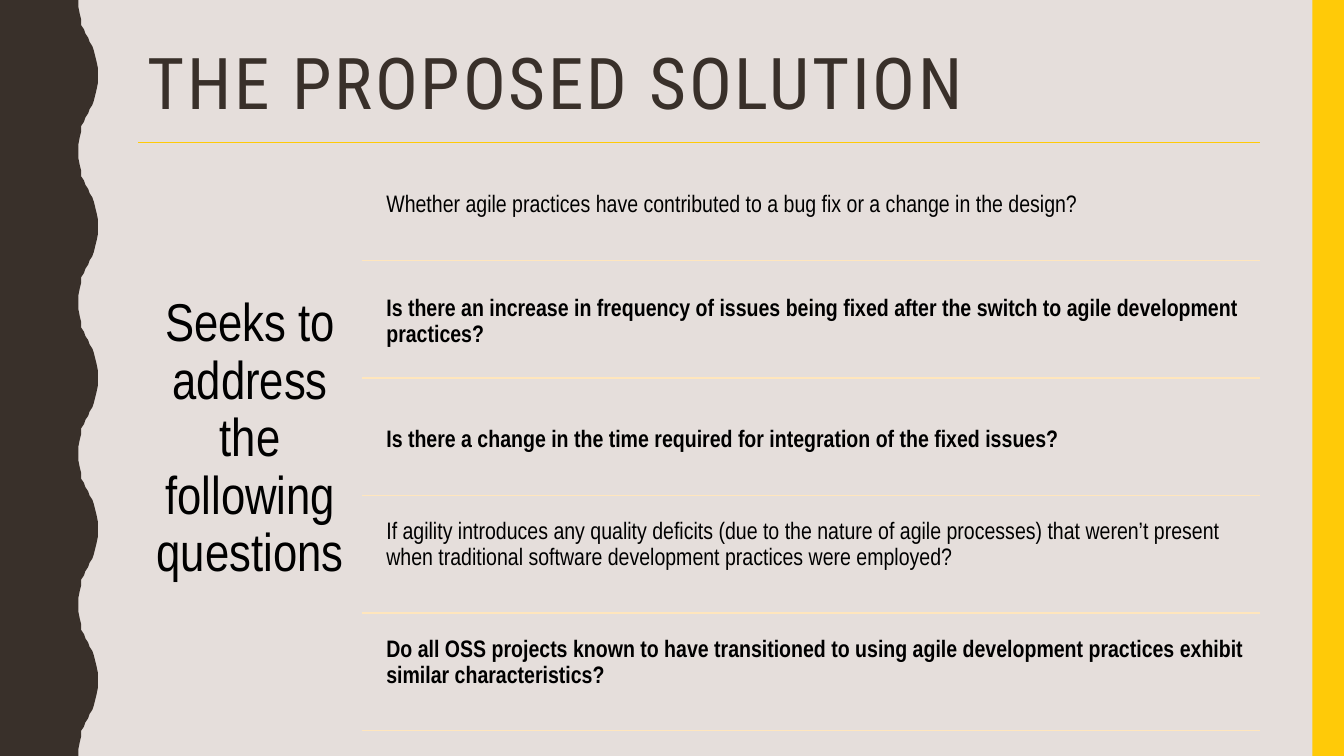
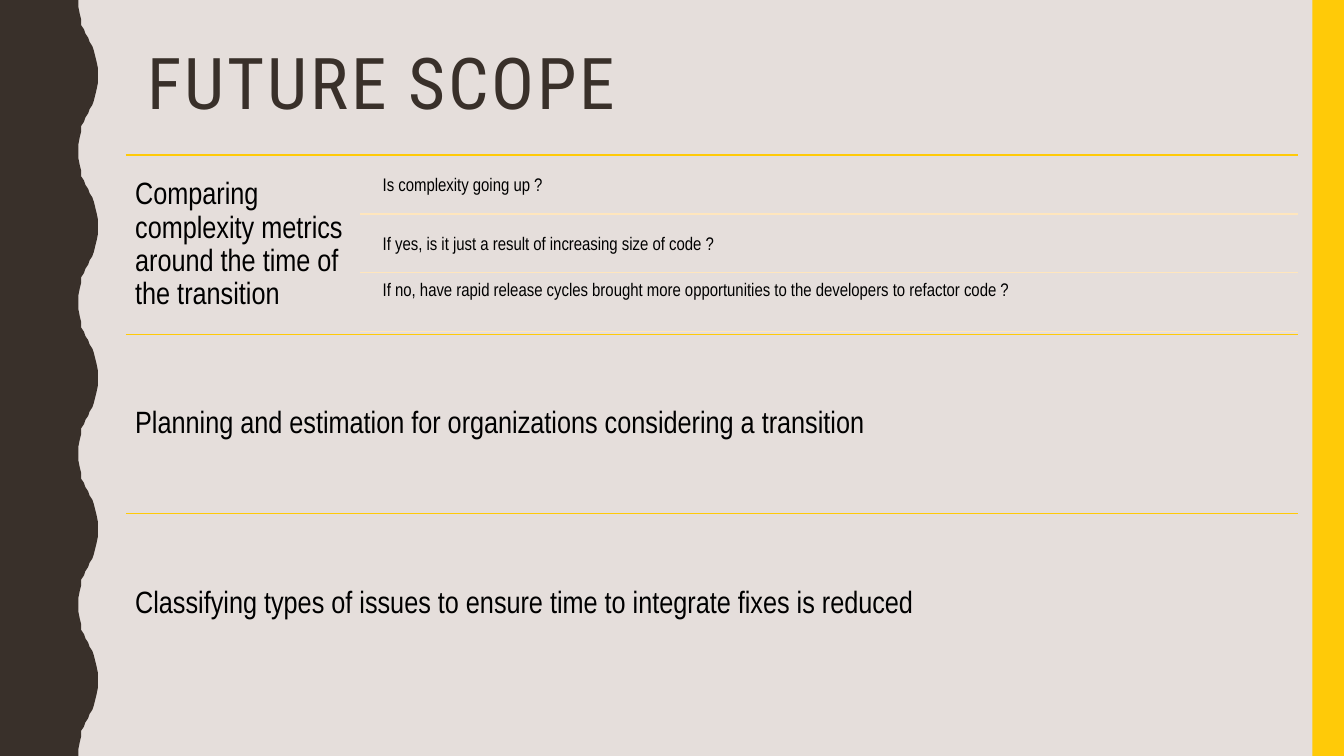
from collections import namedtuple

from lxml.etree import SubElement
from pptx import Presentation
from pptx.dml.color import RGBColor as RGB
from pptx.enum.shapes import MSO_CONNECTOR as Conn, MSO_SHAPE as Shape
from pptx.enum.text import MSO_ANCHOR as Anchor, PP_ALIGN as Align
from pptx.oxml.ns import qn
from pptx.util import Pt

Ask = namedtuple("Ask", "text bold lift", defaults=(False, 0))

DECK = [
    {
        "title": "THE PROPOSED SOLUTION",
        "left": 98.6, "right": 900, "top": 102, "height": 424,
        "lead": 38, "ask": 17, "align": Align.CENTER,
        "parts": [
            ("Seeks to address the following questions", [
                Ask("Whether agile practices have contributed to a bug fix or a change in the design?"),
                Ask("Is there an increase in frequency of issues being fixed after the switch "
                    "to agile development practices?", True),
                Ask("Is there a change in the time required for integration of the fixed issues?", True),
                Ask("If agility introduces any quality deficits (due to the nature of agile processes) "
                    "that weren’t present\nwhen traditional software development practices were employed?",
                    lift=17.5),
                Ask("Do all OSS projects known to have transitioned to using agile development "
                    "practices exhibit similar characteristics?", True, 17.5),
            ]),
        ],
    },
    {
        "title": "FUTURE SCOPE",
        "left": 90, "right": 927.4, "top": 110.8, "height": 128,
        "lead": 22, "ask": 13, "align": Align.LEFT,
        "parts": [
            ("Comparing complexity metrics around the time of the transition", [
                Ask("Is complexity going up ?"),
                Ask("If yes, is it just a result of increasing size of code ?"),
                Ask("If no, have rapid release cycles brought more opportunities to the developers "
                    "to refactor code ?", lift=18),
            ]),
            ("Planning and estimation for organizations considering a transition", []),
            ("Classifying types of issues to ensure time to integrate fixes is reduced", []),
        ],
    },
]


class Theme:
    wide, high = 960, 540
    back = RGB.from_string("E5DEDB")
    dark = RGB.from_string("39302A")
    gold = RGB.from_string("FFCA08")
    pale = RGB.from_string("FFE6BD")
    ink = RGB.from_string("000000")
    head, body = "Roboto Condensed", "Arial Narrow"
    title = 51
    indent = 12


# Half a wave of the left band in inches: (x, y), from trough to crest
HALF = [(.78, 0), (.78, .07), (.79, .14), (.8, .2), (.81, .25), (.83, .29), (.85, .33),
        (.87, .38), (.89, .42), (.91, .46), (.93, .5), (.95, .55), (.96, .61),
        (.97, .68), (.97, .75)]
PITCH, WAVES = 1.5, 5


def put_text(slide, text, left, top, width, height, *, size, font=Theme.body, color=Theme.ink,
             bold=False, align=Align.LEFT, pad=None, lift=0, track=0):
    """Add a text box; lift is extra bottom inset, track is letter spacing in points."""
    frame = slide.shapes.add_textbox(Pt(left), Pt(top), Pt(width), Pt(height)).text_frame
    frame.word_wrap = True
    frame.vertical_anchor = Anchor.MIDDLE
    pad = 0.3 * size if pad is None else pad
    frame.margin_left = frame.margin_right = frame.margin_top = Pt(pad)
    frame.margin_bottom = Pt(pad + lift)
    para = frame.paragraphs[0]
    para.alignment, para.line_spacing = align, 0.9
    for i, line in enumerate(text.split("\n")):
        if i:
            para.add_line_break()
        run = para.add_run()
        run.text = line
        run.font.name, run.font.size, run.font.bold = font, Pt(size), bold
        run.font.color.rgb = color
        if track:
            run.font._element.set("spc", str(track * 100))


def put_rule(slide, left, right, y, color):
    rule = slide.shapes.add_connector(Conn.STRAIGHT, Pt(left), Pt(y), Pt(right), Pt(y))
    rule.line.color.rgb, rule.line.width = color, Pt(1)
    SubElement(rule._element.spPr, qn("a:effectLst"))


def paint(shape, color):
    shape.shadow.inherit = False
    shape.fill.solid()
    shape.fill.fore_color.rgb = color
    shape.line.fill.background()


def put_frame(slide, title):
    """Add the wavy left band, the right bar and the title."""
    wave = HALF + [(x, PITCH - y) for x, y in reversed(HALF[:-1])]
    edge = [(x * 72, (y + k * PITCH) * 72) for k in range(WAVES) for x, y in wave]
    pen = slide.shapes.build_freeform(0, 0, scale=Pt(1))
    pen.add_line_segments(edge + [(0, Theme.high)], close=True)
    paint(pen.convert_to_shape(), Theme.dark)
    bar = slide.shapes.add_shape(Shape.RECTANGLE, Pt(937.5), 0, Pt(22.5), Pt(Theme.high))
    paint(bar, Theme.gold)
    put_text(slide, title, 98.6, 30, 801.4, 63.5, size=Theme.title, font=Theme.head,
             color=Theme.dark, pad=7.2, track=2)


def put_part(slide, page, top, lead, asks):
    """Add a gold rule, the lead text and its ruled questions."""
    left, right, height = page["left"], page["right"], page["height"]
    span = (right - left) * (0.2 if asks else 1)
    put_rule(slide, left, right, top, Theme.gold)
    put_text(slide, lead, left, top, span, height, size=page["lead"], align=page["align"])
    # Each question is 20 gaps high, with a gap before it and one after the last
    gap = height / (21 * len(asks) + 1)
    start = left + span + Theme.indent
    for i, ask in enumerate(asks):
        y = top + gap + i * 21 * gap
        put_text(slide, ask.text, start, y, right - start, 20 * gap, size=page["ask"],
                 bold=ask.bold, lift=ask.lift)
        put_rule(slide, left + span, right, y + 20 * gap, Theme.pale)


def main():
    prs = Presentation()
    prs.slide_width, prs.slide_height = Pt(Theme.wide), Pt(Theme.high)
    fill = prs.slide_master.background.fill
    fill.solid()
    fill.fore_color.rgb = Theme.back
    for page in DECK:
        slide = prs.slides.add_slide(prs.slide_layouts[6])
        put_frame(slide, page["title"])
        for i, (lead, asks) in enumerate(page["parts"]):
            put_part(slide, page, page["top"] + i * page["height"], lead, asks)
    prs.save("out.pptx")


if __name__ == "__main__":
    main()
